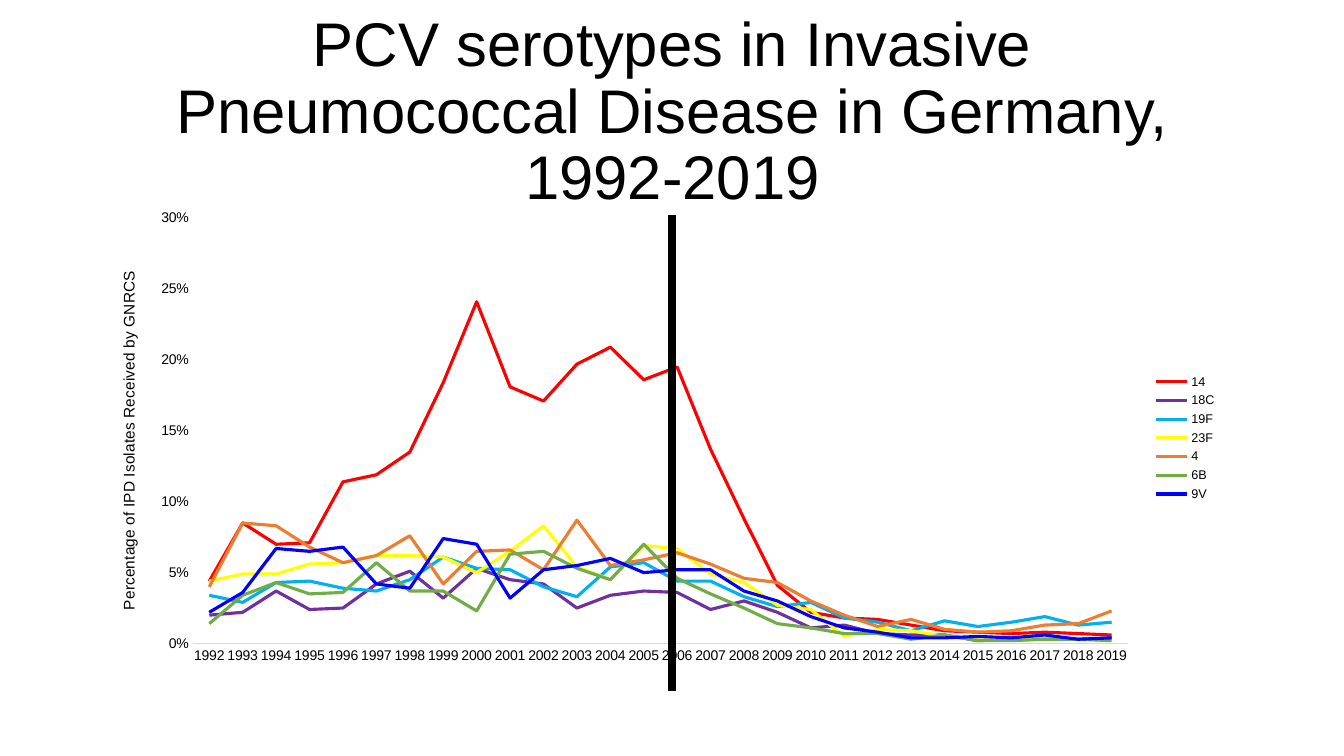
import pptx
import pptx.util
import pptx.chart.data
import pptx.dml.color
import pptx.enum.chart
import pptx.enum.shapes
import pptx.enum.text
import pptx.oxml

WIDE, HIGH = 13.33, 7.5
YEARS = [str(year) for year in range(1992, 2020)]
TYPES = {
    "14": ("FF0000", [4.4, 8.5, 7, 7.1, 11.4, 11.9, 13.5, 18.4, 24.1, 18.1, 17.1, 19.7, 20.9, 18.6,
                      19.5, 13.7, 8.8, 4.1, 2.2, 1.8, 1.7, 1.3, 0.9, 0.8, 0.7, 0.8, 0.7, 0.6]),
    "18C": ("7030A0", [2, 2.2, 3.7, 2.4, 2.5, 4.2, 5.1, 3.2, 5.3, 4.5, 4.2, 2.5, 3.4, 3.7,
                       3.6, 2.4, 3, 2.2, 1.1, 1.3, 0.7, 0.6, 0.6, 0.2, 0.3, 0.3, 0.3, 0.4]),
    "19F": ("00B0F0", [3.4, 2.9, 4.3, 4.4, 3.9, 3.7, 4.5, 6.1, 5.3, 5.2, 4, 3.3, 5.4, 5.7,
                       4.4, 4.4, 3.3, 2.6, 2.9, 1.8, 1.5, 0.9, 1.6, 1.2, 1.5, 1.9, 1.3, 1.5]),
    "23F": ("FFFF00", [4.4, 4.9, 4.9, 5.6, 5.7, 6.2, 6.2, 6.1, 5, 6.5, 8.3, 5.4, 4.5, 6.9,
                       6.7, 4.9, 4.3, 2.7, 2.4, 0.5, 1, 0.9, 0.5, 0.3, 0.3, 0.4, 0.3, 0.2]),
    "4": ("ED7D31", [4, 8.5, 8.3, 6.8, 5.7, 6.2, 7.6, 4.2, 6.5, 6.6, 5.2, 8.7, 5.5, 5.9,
                     6.4, 5.6, 4.6, 4.3, 3, 2, 1.2, 1.7, 1, 0.8, 0.9, 1.3, 1.4, 2.3]),
    "6B": ("70AD47", [1.4, 3.4, 4.3, 3.5, 3.6, 5.7, 3.7, 3.7, 2.3, 6.3, 6.5, 5.3, 4.5, 7,
                      4.6, 3.5, 2.5, 1.4, 1.1, 0.7, 0.7, 0.3, 0.6, 0.2, 0.2, 0.3, 0.3, 0.2]),
    "9V": ("0000FF", [2.2, 3.6, 6.7, 6.5, 6.8, 4.2, 3.9, 7.4, 7, 3.2, 5.2, 5.5, 6, 5,
                      5.2, 5.2, 3.7, 3, 1.9, 1.1, 0.8, 0.4, 0.4, 0.5, 0.4, 0.6, 0.3, 0.4]),
}


def paint(target, color):
    """Give a font or line one solid colour."""
    if hasattr(target, "name"):
        target.color.rgb = pptx.dml.color.RGBColor.from_string(color)
    else:
        target.fill.solid()
        target.fill.fore_color.rgb = pptx.dml.color.RGBColor.from_string(color)


def style(font, size, name="Arial"):
    """Set a plain black font."""
    font.size = pptx.util.Pt(size)
    font.name = name
    font.bold = False
    paint(font, "000000")


def pin(parent, x, y, wide=None, high=None):
    """Place a chart part by shares of the chart."""
    for old in parent.findall(pptx.oxml.ns.qn("c:layout")):
        parent.remove(old)
    tags = [("xMode", "edge"), ("yMode", "edge"), ("x", x), ("y", y)]
    if wide:
        tags = [("layoutTarget", "inner")] + tags + [("w", wide), ("h", high)]
    body = "".join(f'<c:{tag} val="{value}"/>' for tag, value in tags)
    layout = pptx.oxml.parse_xml(
        f'<c:layout {pptx.oxml.ns.nsdecls("c")}><c:manualLayout>{body}</c:manualLayout></c:layout>')
    text = parent.find(pptx.oxml.ns.qn("c:tx"))
    if text is None:
        parent.insert(0, layout)
    else:
        text.addnext(layout)


def head(slide, box):
    """Write the slide heading in its box."""
    frame = slide.shapes.add_textbox(*map(pptx.util.Inches, box)).text_frame
    frame.word_wrap = True
    frame.vertical_anchor = pptx.enum.text.MSO_ANCHOR.MIDDLE
    para = frame.paragraphs[0]
    para.alignment = pptx.enum.text.PP_ALIGN.CENTER
    para.line_spacing = 0.9
    run = para.add_run()
    run.text = "PCV serotypes in Invasive Pneumococcal Disease in Germany, 1992-2019"
    style(run.font, 44)


def axes(chart):
    """Format the year and share axes."""
    years, share = chart.category_axis, chart.value_axis
    for axis in (years, share):
        axis.has_major_gridlines = False
        axis.major_tick_mark = pptx.enum.chart.XL_TICK_MARK.NONE
        axis.minor_tick_mark = pptx.enum.chart.XL_TICK_MARK.NONE
        style(axis.tick_labels.font, 10)
    paint(years.format.line, "D9D9D9")
    years.format.line.width = pptx.util.Pt(0.75)
    share.format.line.fill.background()
    share.minimum_scale, share.maximum_scale, share.major_unit = 0, 0.3, 0.05
    share.tick_labels.number_format = "0%"
    share.tick_labels.number_format_is_linked = False
    title = share.axis_title
    frame = title.text_frame
    run = frame.paragraphs[0].add_run()
    run.text = "Percentage of IPD Isolates Received by GNRCS"
    style(run.font, 11)
    turn = frame._txBody.bodyPr
    turn.set("rot", "-5400000")
    turn.set("vert", "horz")
    pin(title._element, 0.02, 0.14)


def plot(slide, box):
    """Draw the serotype line chart in its box."""
    data = pptx.chart.data.CategoryChartData(number_format="0.0%")
    data.categories = YEARS
    for name, (_, rates) in TYPES.items():
        data.add_series(name, [round(rate / 100, 3) for rate in rates])
    chart = slide.shapes.add_chart(
        pptx.enum.chart.XL_CHART_TYPE.LINE, *map(pptx.util.Inches, box), data).chart
    style(chart.font, 10, "Calibri")
    chart.has_title = False
    chart.plots[0].vary_by_categories = False
    for line, (color, _) in zip(chart.plots[0].series, TYPES.values()):
        line.smooth = False
        line.marker.style = pptx.enum.chart.XL_MARKER_STYLE.NONE
        paint(line.format.line, color)
        line.format.line.width = pptx.util.Pt(2.25)
    axes(chart)
    chart.has_legend = True
    chart.legend.position = pptx.enum.chart.XL_LEGEND_POSITION.RIGHT
    chart.legend.include_in_layout = False
    style(chart.legend.font, 9)
    pin(chart._chartSpace.chart.plotArea, 0.088, 0.035, 0.825, 0.9)


def mark(slide, box):
    """Draw the upright divider down the middle of its box."""
    left, top, wide, high = box
    x = left + wide / 2
    line = slide.shapes.add_connector(
        pptx.enum.shapes.MSO_CONNECTOR.STRAIGHT,
        *map(pptx.util.Inches, (x, top, x, top + high)))
    paint(line.line, "000000")
    line.line.width = pptx.util.Pt(6)
    line._element.spPr.append(
        pptx.oxml.parse_xml(f'<a:effectLst {pptx.oxml.ns.nsdecls("a")}/>'))


def main():
    """Build and save the slide."""
    deck = pptx.Presentation()
    deck.slide_width, deck.slide_height = map(pptx.util.Inches, (WIDE, HIGH))
    slide = deck.slides.add_slide(deck.slide_layouts[6])
    head(slide, (0.92, 0.4, 11.5, 1.45))
    plot(slide, (0.92, 2, 11.25, 4.69))
    mark(slide, (0, 2.13, WIDE, 4.73))
    deck.save("out.pptx")


if __name__ == "__main__":
    main()
